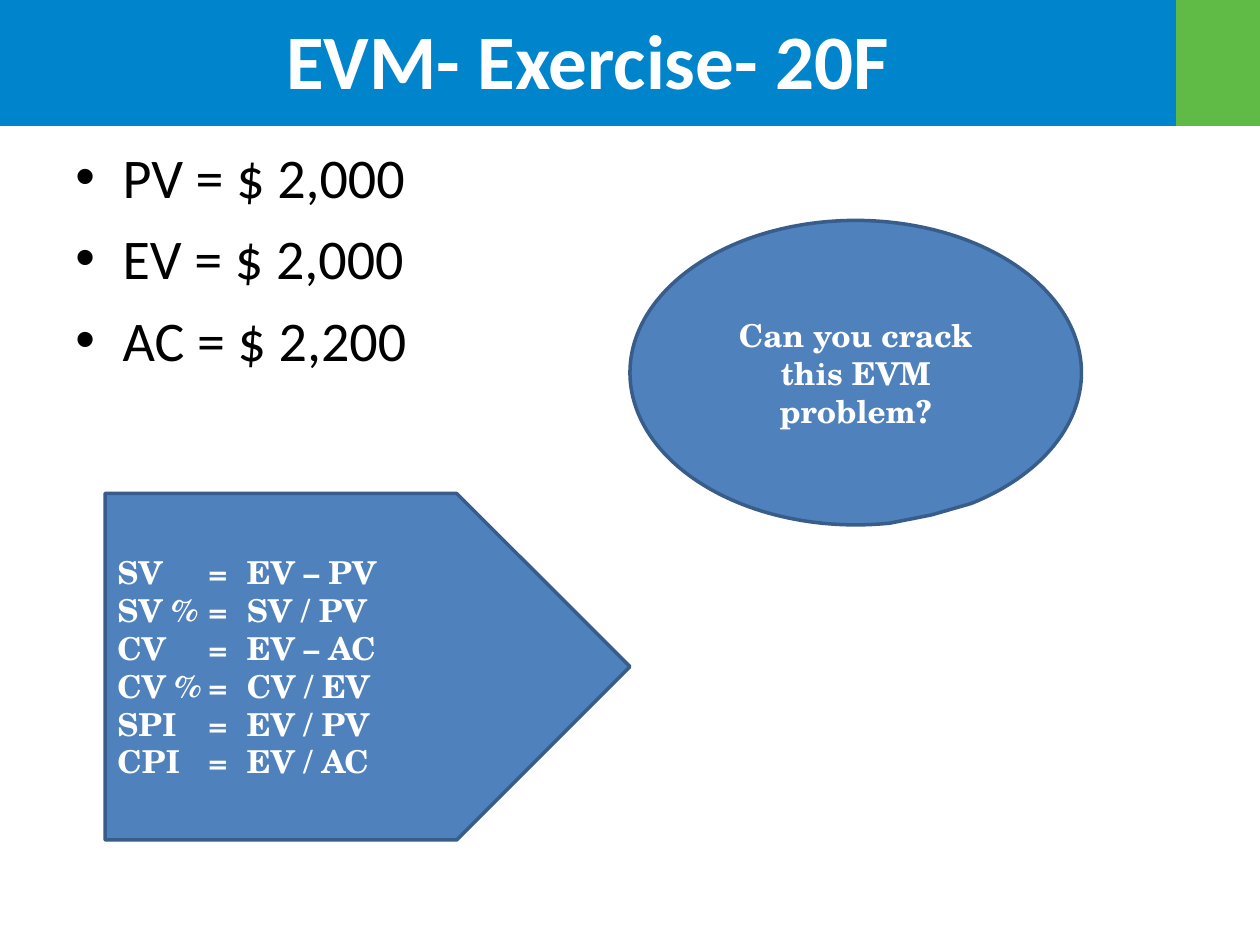
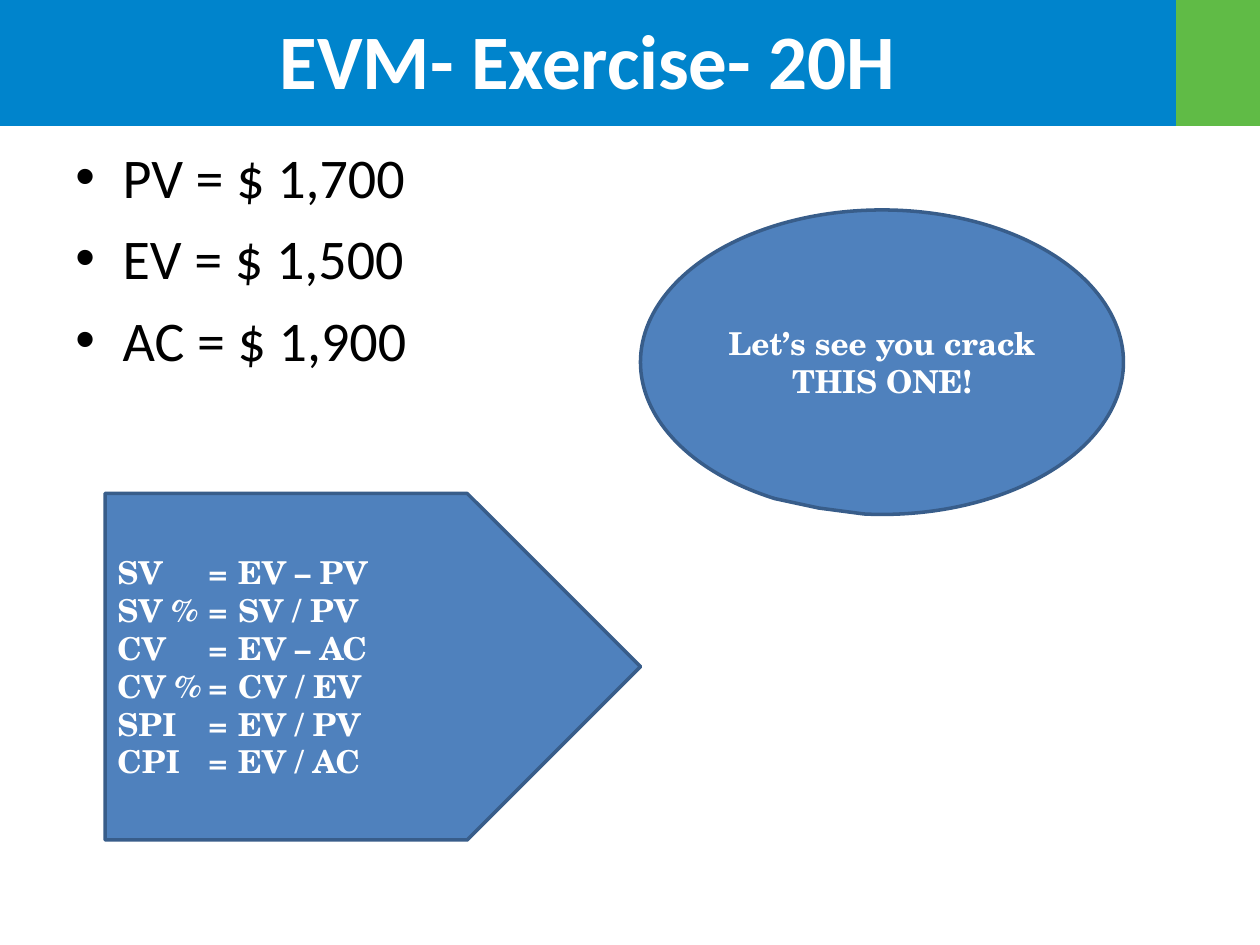
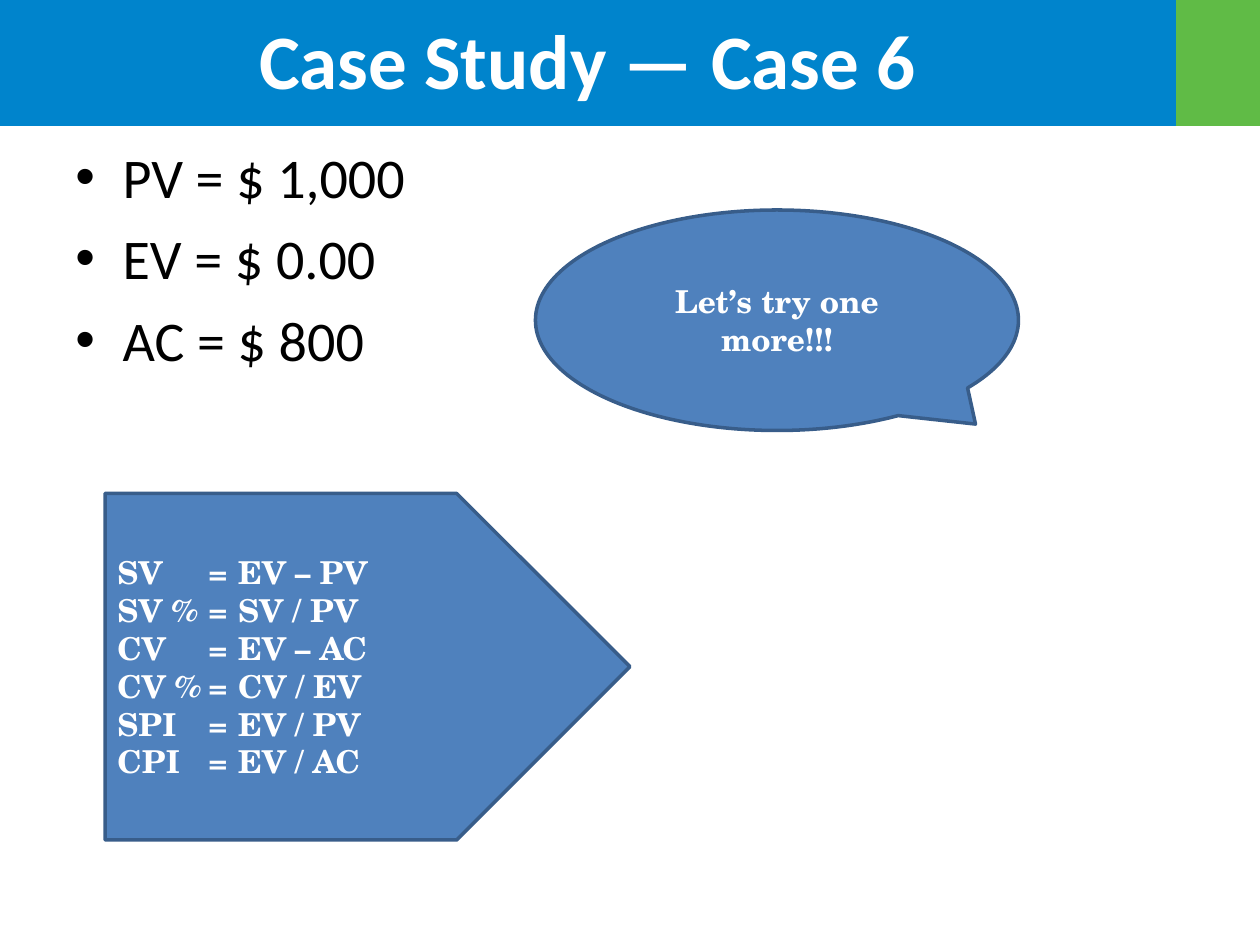
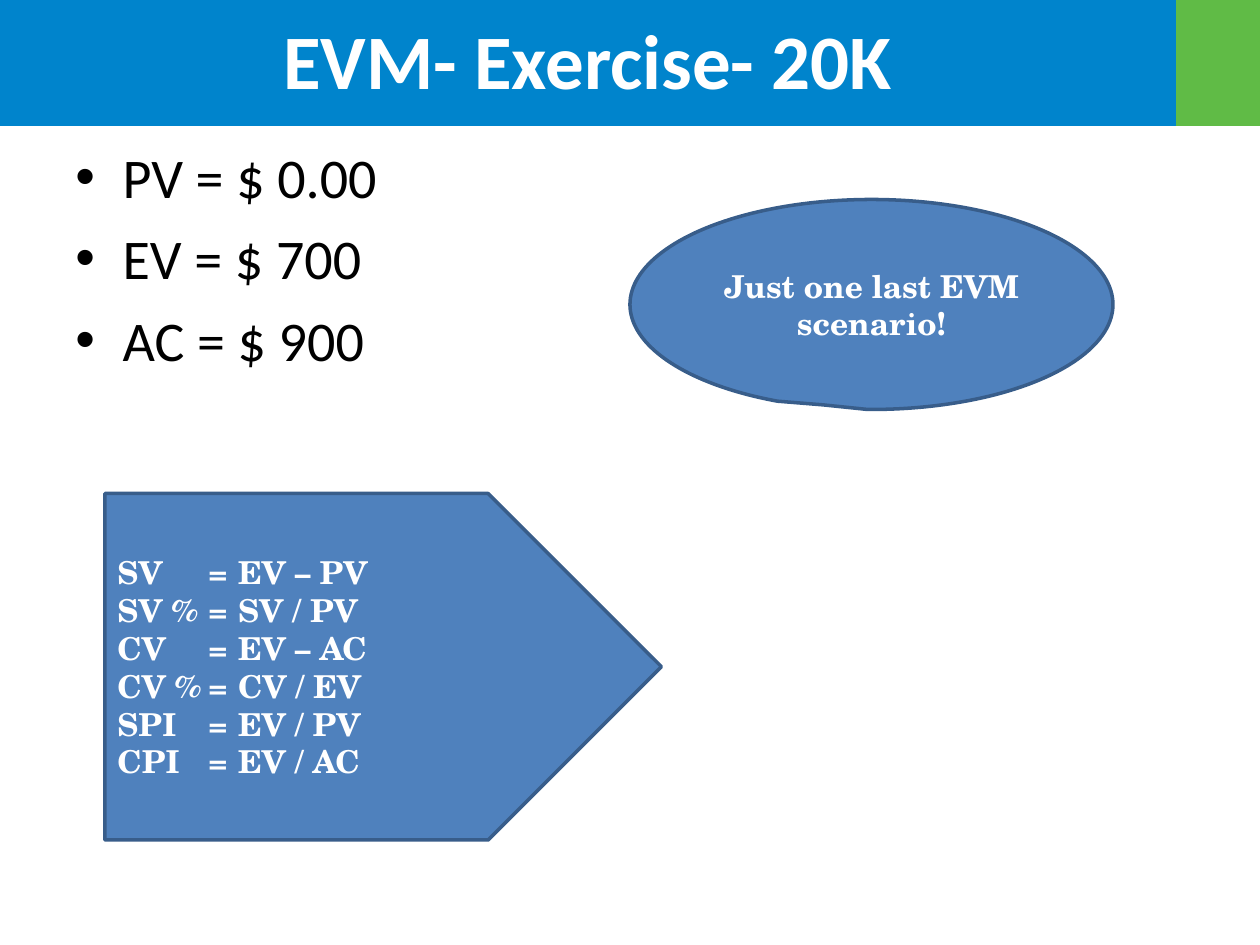
from dataclasses import dataclass

from lxml.etree import SubElement
from pptx import Presentation
from pptx.dml.color import RGBColor
from pptx.enum.shapes import MSO_SHAPE
from pptx.enum.text import MSO_ANCHOR, PP_ALIGN
from pptx.oxml.ns import qn
from pptx.util import Pt


@dataclass(frozen=True)
class Theme:
    blue: RGBColor = RGBColor.from_string("0084CC")
    green: RGBColor = RGBColor.from_string("60BB46")
    panel: RGBColor = RGBColor.from_string("4F81BD")
    outline: RGBColor = RGBColor.from_string("385D8A")
    white: RGBColor = RGBColor.from_string("FFFFFF")
    black: RGBColor = RGBColor.from_string("000000")
    sans: str = "Calibri"
    serif: str = "TeX Gyre Schola"
    title_size: int = 44
    value_size: int = 32
    panel_size: int = 18


THEME = Theme()
FORMULAS = [
    ("SV", "EV – PV"),
    ("SV %", "SV / PV"),
    ("CV", "EV – AC"),
    ("CV %", "CV / EV"),
    ("SPI", "EV / PV"),
    ("CPI", "EV / AC"),
]
EQUALS_TAB = 52

# Callout box is left, top, width, height; its tail is the pair of adjustments.
EXERCISES = [
    dict(title="EVM- Exercise- 20F", values=("2,000", "2,000", "2,200"),
         prompt="Can you crack this EVM problem?",
         callout=(360, 126, 258, 174), tail=(0.168, 0.467),
         arrow_width=300, formula_tab=74),
    dict(title="EVM- Exercise- 20H", values=("1,700", "1,500", "1,900"),
         prompt="Let’s see you crack THIS ONE!",
         callout=(366, 120, 276, 174), tail=(-0.131, 0.479),
         arrow_width=306, formula_tab=69),
    dict(title="Case Study — Case 6", values=("1,000", "0.00", "800"),
         prompt="Let’s try one more!!!",
         callout=(306, 120, 276, 126), tail=(0.411, 0.471),
         arrow_width=300, formula_tab=69),
    dict(title="EVM- Exercise- 20K", values=("0.00", "700", "900"),
         prompt="Just one last EVM scenario!",
         callout=(360, 114, 276, 120), tail=(-0.101, 0.478),
         arrow_width=318, formula_tab=69),
]


def add_filled(slide, preset, box, fill, outline=None):
    shape = slide.shapes.add_shape(preset, *(Pt(length) for length in box))
    shape.shadow.inherit = False
    shape.fill.solid()
    shape.fill.fore_color.rgb = fill
    if outline is None:
        shape.line.fill.background()
    else:
        shape.line.color.rgb = outline
        shape.line.width = Pt(2)
    return shape


def write(frame, lines, font, size, color, bold=True, align=PP_ALIGN.LEFT,
          tabs=(), bullet=False):
    """Fill a text frame with one paragraph per line, all in one style."""
    frame.word_wrap = True
    for index, line in enumerate(lines):
        paragraph = frame.paragraphs[0] if index == 0 else frame.add_paragraph()
        paragraph.text = line
        paragraph.alignment = align
        properties = paragraph._p.get_or_add_pPr()
        if bullet:
            properties.set("marL", str(Pt(27)))
            properties.set("indent", str(-Pt(27)))
            if index:
                paragraph.space_before = Pt(8)
            SubElement(properties, qn("a:buFont"), typeface="Arial")
            SubElement(properties, qn("a:buChar"), char="•")
        if tabs:
            tab_list = SubElement(properties, qn("a:tabLst"))
            for position in tabs:
                SubElement(tab_list, qn("a:tab"), pos=str(Pt(position)), algn="l")
        paragraph.font.name = font
        paragraph.font.size = Pt(size)
        paragraph.font.bold = bold
        paragraph.font.color.rgb = color


presentation = Presentation()
presentation.slide_width, presentation.slide_height = Pt(720), Pt(540)
title_only = presentation.slide_layouts[5]

for number, exercise in enumerate(EXERCISES):
    slide = presentation.slides.add_slide(title_only)

    # The layout carries the header bands, behind every title.
    if number == 0:
        header = [((-0.5, 0, 672.5, 72), THEME.blue), ((672, 0, 48, 72), THEME.green)]
        for position, (box, color) in enumerate(header):
            band = add_filled(slide, MSO_SHAPE.RECTANGLE, box, color)
            title_only.shapes._spTree.insert(2 + position, band._element)

    title = slide.shapes.title
    title.left, title.top, title.width, title.height = Pt(6), Pt(2), Pt(660), Pt(63)
    title.text_frame.vertical_anchor = MSO_ANCHOR.MIDDLE
    write(title.text_frame, [exercise["title"]], THEME.sans, THEME.title_size,
          THEME.white, align=PP_ALIGN.CENTER)

    givens = slide.shapes.add_textbox(Pt(36), Pt(78), Pt(648), Pt(405))
    write(givens.text_frame,
          [f"{name} = $ {value}"
           for name, value in zip(("PV", "EV", "AC"), exercise["values"])],
          THEME.sans, THEME.value_size, THEME.black, bold=False, bullet=True)

    callout = add_filled(slide, MSO_SHAPE.OVAL_CALLOUT, exercise["callout"],
                         THEME.panel, THEME.outline)
    callout.adjustments[0], callout.adjustments[1] = exercise["tail"]
    write(callout.text_frame, [exercise["prompt"]], THEME.serif, THEME.panel_size,
          THEME.white, align=PP_ALIGN.CENTER)

    formula_arrow = add_filled(slide, MSO_SHAPE.PENTAGON,
                               (60, 282, exercise["arrow_width"], 198),
                               THEME.panel, THEME.outline)
    write(formula_arrow.text_frame,
          [f"{name}\t=\t{formula}" for name, formula in FORMULAS],
          THEME.serif, THEME.panel_size, THEME.white,
          tabs=(EQUALS_TAB, exercise["formula_tab"]))

presentation.save("out.pptx")
